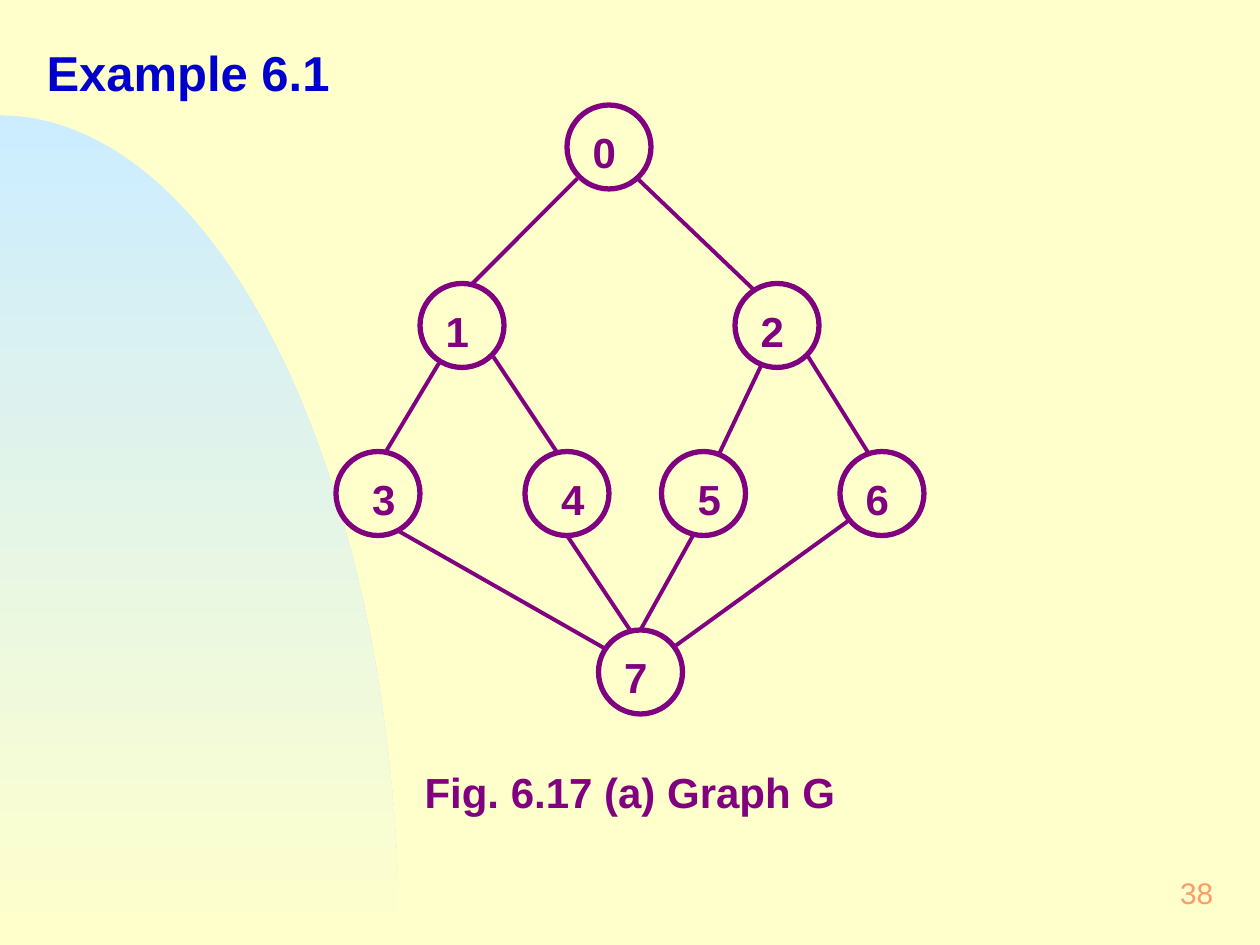
from dataclasses import dataclass
from math import cos, pi, sin

from lxml import etree
from pptx import Presentation
from pptx.dml.color import RGBColor
from pptx.enum.shapes import MSO_CONNECTOR, MSO_SHAPE
from pptx.enum.text import MSO_ANCHOR, MSO_AUTO_SIZE, PP_ALIGN
from pptx.oxml.ns import qn
from pptx.util import Inches, Pt

OVAL = MSO_SHAPE.OVAL
STRAIGHT = MSO_CONNECTOR.STRAIGHT
TOP, MIDDLE = MSO_ANCHOR.TOP, MSO_ANCHOR.MIDDLE
LEFT, RIGHT = PP_ALIGN.LEFT, PP_ALIGN.RIGHT
FIT_SHAPE, NO_FIT = MSO_AUTO_SIZE.SHAPE_TO_FIT_TEXT, MSO_AUTO_SIZE.NONE
TITLE_ONLY = 5
COLUMNS, ROWS = 120, 90
NODE_SIZE = 8


@dataclass(frozen=True)
class Theme:
    font: str = "Arial"
    background: str = "FFFFCC"
    sky: str = "CCECFF"
    title: str = "0000CC"
    graph: str = "800080"
    number: str = "FF9966"
    title_size: float = 28
    label_size: float = 24
    number_size: float = 17
    node_line: float = 3
    edge_line: float = 2.25


def color(value):
    return RGBColor.from_string(value)


def write_text(shape, text, *, font, size, fill, bold=True, align=LEFT,
               anchor=TOP, fit=FIT_SHAPE, top=0.09, bottom=0.03):
    frame = shape.text_frame
    frame.word_wrap = True
    frame.auto_size = fit
    frame.vertical_anchor = anchor
    frame.margin_left = frame.margin_right = Inches(0.12)
    frame.margin_top, frame.margin_bottom = Inches(top), Inches(bottom)
    paragraph = frame.paragraphs[0]
    paragraph.alignment = align
    run = paragraph.add_run()
    run.text = text
    run.font.name = font
    run.font.size = Pt(size)
    run.font.bold = bold
    run.font.color.rgb = color(fill)


class SlideBuilder:
    def __init__(self, presentation, theme):
        self.theme = theme
        self.column = presentation.slide_width / COLUMNS
        self.row = presentation.slide_height / ROWS
        layout = presentation.slide_layouts[TITLE_ONLY]
        self.slide = presentation.slides.add_slide(layout)
        self.shapes = self.slide.shapes
        background = self.slide.background.fill
        background.solid()
        background.fore_color.rgb = color(theme.background)

    def place(self, across, down):
        return round(across * self.column), round(down * self.row)

    def box(self, left, top, width, height):
        return *self.place(left, top), *self.place(width, height)

    def title(self, text, *area):
        shape = self.shapes.title
        shape.left, shape.top, shape.width, shape.height = self.box(*area)
        write_text(shape, text, font=self.theme.font,
                   size=self.theme.title_size, fill=self.theme.title)

    def text(self, text, *area, **format):
        settings = {"font": self.theme.font, "size": self.theme.label_size,
                    "fill": self.theme.graph} | format
        write_text(self.shapes.add_textbox(*self.box(*area)), text, **settings)

    def quarter_ellipse(self, top, width, steps=90):
        angles = [pi / 2 * step / steps for step in range(steps + 1)]
        points = [self.place(width * sin(angle),
                             ROWS - (ROWS - top) * cos(angle))
                  for angle in angles]
        builder = self.shapes.build_freeform(*points[0])
        builder.add_line_segments(points[1:] + [self.place(0, ROWS)], close=True)
        shape = builder.convert_to_shape()
        shape.shadow.inherit = False
        shape.line.fill.background()
        shape.fill.gradient()
        shape.fill.gradient_angle = 270
        stops = shape.fill.gradient_stops
        for stop, value in zip(stops, (self.theme.sky, self.theme.background)):
            stop.color.rgb = color(value)
        stops[0].position, stops[1].position = 0, 1

    def node(self, label, left, top, indent, label_width):
        shape = self.shapes.add_shape(
            OVAL, *self.box(left, top, NODE_SIZE, NODE_SIZE))
        shape.shadow.inherit = False
        shape.fill.background()
        shape.line.color.rgb = color(self.theme.graph)
        shape.line.width = Pt(self.theme.node_line)
        self.text(label, left + indent, top + 1, label_width, 6.2)

    def edge(self, start, end):
        connector = self.shapes.add_connector(
            STRAIGHT, *self.place(*start), *self.place(*end))
        connector.line.color.rgb = color(self.theme.graph)
        connector.line.width = Pt(self.theme.edge_line)
        properties = connector._element.find(qn("p:spPr"))
        etree.SubElement(properties, qn("a:effectLst"))


NODES = [
    ("0", 54, 10, 1, 6),
    ("1", 40, 27, 1, 6),
    ("2", 70, 27, 1, 6),
    ("3", 32, 43, 2, 7),
    ("4", 50, 43, 2, 8),
    ("5", 63, 43, 2, 5),
    ("6", 80, 43, 1, 6),
    ("7", 57, 60, 1, 6),
]

EDGES = [
    ((55, 17), (45, 27)),
    ((60.7, 17), (71.8, 27.6)),
    ((41.8, 34.6), (36.7, 43.1)),
    ((47, 34), (53, 43)),
    ((72.5, 34.8), (68.5, 43.2)),
    ((76.8, 33.7), (82.8, 43.3)),
    ((38, 50.6), (57.5, 61.7)),
    ((54, 51), (60, 60)),
    ((66, 51), (61, 60)),
    ((64.2, 61.6), (80.8, 49.6)),
]


def main():
    presentation = Presentation()
    presentation.slide_width = Inches(10)
    presentation.slide_height = Inches(7.5)
    theme = Theme()
    builder = SlideBuilder(presentation, theme)
    builder.quarter_ellipse(top=11, width=38)
    builder.title("Example 6.1", 3, 3, 31, 7.1)
    for node in NODES:
        builder.node(*node)
    for start, end in EDGES:
        builder.edge(start, end)
    builder.text("Fig. 6.17 (a) Graph G", 39, 71.9, 47, 6.2)
    builder.text("38", 92, 82, 25, 6, size=theme.number_size,
                 fill=theme.number, bold=False, align=RIGHT, anchor=MIDDLE,
                 fit=NO_FIT, top=0.06, bottom=0.06)
    presentation.save("out.pptx")


if __name__ == "__main__":
    main()
